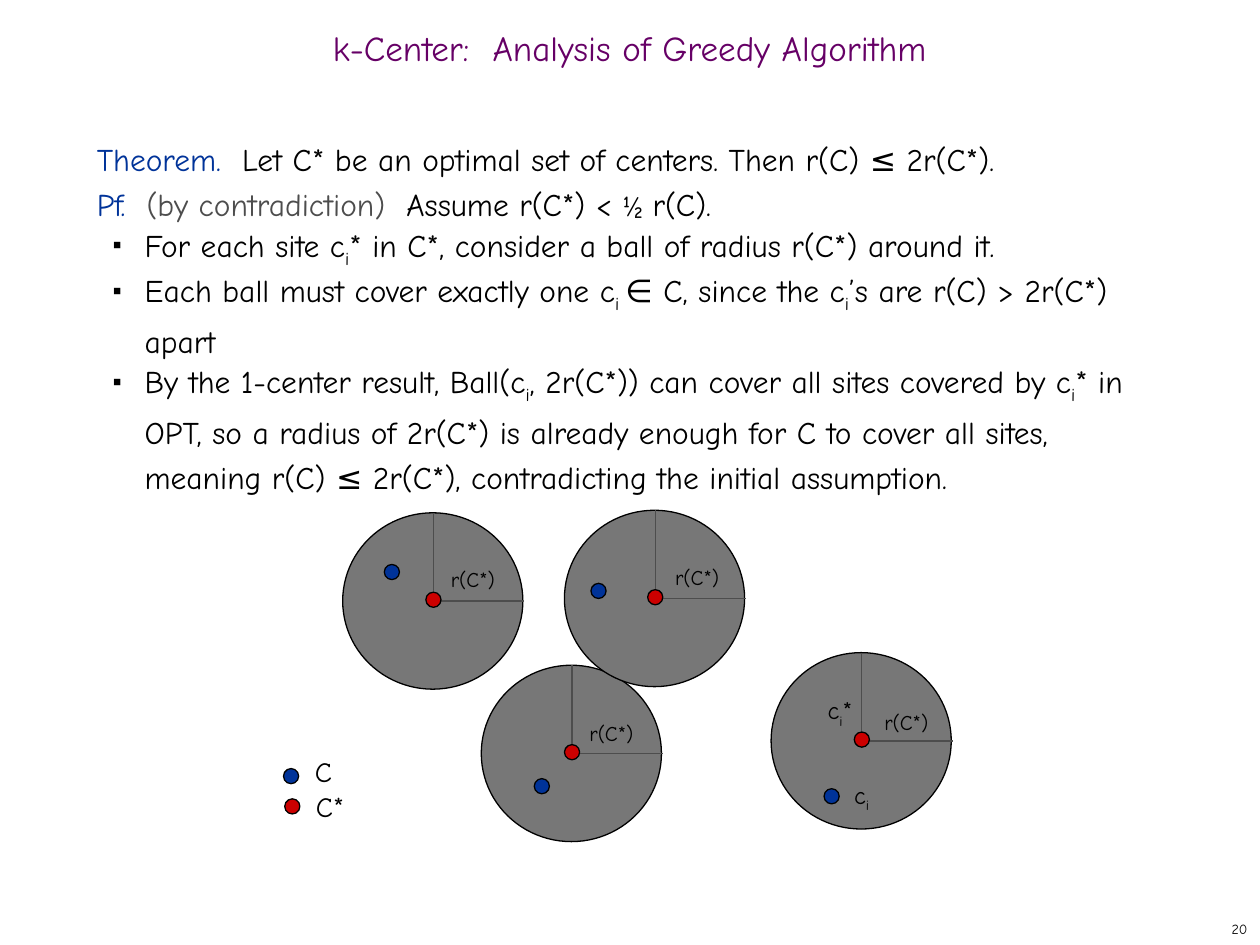
from dataclasses import dataclass

import pptx
import pptx.dml.color
import pptx.enum.shapes
import pptx.enum.text
import pptx.oxml
import pptx.oxml.ns
import pptx.util
from lxml import etree

RGBColor = pptx.dml.color.RGBColor
Inches = pptx.util.Inches
Pt = pptx.util.Pt
ALIGN = pptx.enum.text.PP_ALIGN
ANCHOR = pptx.enum.text.MSO_ANCHOR
qn = pptx.oxml.ns.qn

BLACK = RGBColor(0x00, 0x00, 0x00)
PURPLE = RGBColor(0x66, 0x00, 0x66)
BLUE = RGBColor(0x00, 0x33, 0x99)
RED = RGBColor(0xCC, 0x00, 0x00)
DARK_GRAY = RGBColor(0x4D, 0x4D, 0x4D)
BALL_GRAY = RGBColor(0x77, 0x77, 0x77)

FONT = "Comic Neue"
BALL_W, BALL_H, DOT = 1.43, 1.4, 0.12


@dataclass
class Part:
    text: str  # pieces between underscores are subscripts
    color: RGBColor = BLACK
    size: float = 18


@dataclass
class Ball:
    x: float
    y: float
    site: tuple[float, float]
    label: tuple[float, float]


@dataclass
class Label:
    text: str
    x: float
    y: float
    w: float
    h: float
    size: float


def add_parts(p, parts: list[Part]) -> None:
    for part in parts:
        for i, piece in enumerate(part.text.split("_")):
            if not piece:
                continue
            r = p.add_run()
            r.text = piece
            r.font.name = FONT
            r.font.size = Pt(part.size)
            r.font.color.rgb = part.color
            if i % 2:
                r.font._element.set("baseline", "-25000")


def add_text(s, x: float, y: float, w: float, h: float, wrap: bool = True):
    tf = s.shapes.add_textbox(Inches(x), Inches(y), Inches(w), Inches(h)).text_frame
    tf.word_wrap = wrap
    return tf


def add_label(s, label: Label) -> None:
    tf = add_text(s, label.x, label.y, label.w, label.h, wrap=False)
    tf.auto_size = pptx.enum.text.MSO_AUTO_SIZE.SHAPE_TO_FIT_TEXT
    add_parts(tf.paragraphs[0], [Part(label.text, size=label.size)])


def add_bullet(p) -> None:
    p.level = 1
    pPr = p._p.get_or_add_pPr()
    pPr.set("marL", str(Inches(0.38)))
    pPr.set("indent", str(Inches(-0.25)))
    color = etree.SubElement(pPr, qn("a:buClr"))
    etree.SubElement(color, qn("a:srgbClr")).set("val", str(BLACK))
    etree.SubElement(pPr, qn("a:buSzPct")).set("val", "35000")
    etree.SubElement(pPr, qn("a:buChar")).set("char", "■")


def add_oval(s, x: float, y: float, w: float, h: float, color: RGBColor) -> None:
    sp = s.shapes.add_shape(pptx.enum.shapes.MSO_SHAPE.OVAL,
                            Inches(x), Inches(y), Inches(w), Inches(h))
    sp.shadow.inherit = False
    sp.fill.solid()
    sp.fill.fore_color.rgb = color
    sp.line.color.rgb = BLACK
    sp.line.width = Pt(0.75)


def add_dot(s, x: float, y: float, color: RGBColor) -> None:
    add_oval(s, x, y, DOT, DOT, color)


def add_radius(s, x1: float, y1: float, x2: float, y2: float) -> None:
    cx = s.shapes.add_connector(pptx.enum.shapes.MSO_CONNECTOR.STRAIGHT,
                                Inches(x1), Inches(y1), Inches(x2), Inches(y2))
    cx.line.color.rgb = DARK_GRAY
    cx.line.width = Pt(0.75)
    etree.SubElement(cx._element.spPr, qn("a:effectLst"))


def add_ball(s, ball: Ball) -> None:
    x, y = ball.x, ball.y
    add_oval(s, x, y, BALL_W, BALL_H, BALL_GRAY)
    add_radius(s, x + 0.77, y + 0.7, x + 1.44, y + 0.7)
    add_radius(s, x + 0.72, y + 0.65, x + 0.72, y)
    add_dot(s, *ball.site, BLUE)
    add_dot(s, x + 0.66, y + 0.63, RED)
    add_label(s, Label("r(C*)", *ball.label, 0.6, 0.3, 12))


PROOF = [
    [Part("Theorem.  ", BLUE),
     Part("Let C* be an optimal set of centers. Then r(C) ≤ 2r(C*).")],
    [Part("Pf.  ", BLUE), Part("(by contradiction)", DARK_GRAY),
     Part("  Assume r(C*) < "), Part("½ ", size=16), Part("r(C).")],
]
STEPS = [
    "For each site c_i_* in C*, consider a ball of radius r(C*) around it.",
    "Each ball must cover exactly one c_i _∈ C, since the c_i_’s are r(C) > 2r(C*) apart",
    "By the 1-center result, Ball(c_i_, 2r(C*)) can cover all sites covered by c_i_* in OPT, "
    "so a radius of 2r(C*) is already enough for C to cover all sites, "
    "meaning r(C) ≤ 2r(C*), contradicting the initial assumption.",
]
BALLS = [
    Ball(2.72, 4.07, (3.05, 4.48), (3.48, 4.45)),
    Ball(3.82, 5.28, (4.24, 6.18), (4.58, 5.67)),
    Ball(4.48, 4.05, (4.69, 4.63), (5.26, 4.43)),
    Ball(6.12, 5.18, (6.54, 6.26), (6.92, 5.58)),
]
LABELS = [
    Label("C", 2.4, 5.94, 0.34, 0.37, 16),
    Label("C*", 2.41, 6.22, 0.46, 0.37, 16),
    Label("c_i_*", 6.47, 5.47, 0.45, 0.34, 14),
    Label("c_i_", 6.68, 6.14, 0.34, 0.34, 14),
]


def main() -> None:
    prs = pptx.Presentation()
    prs.slide_width, prs.slide_height = Inches(10), Inches(7.5)
    s = prs.slides.add_slide(prs.slide_layouts[6])

    # Title
    tf = add_text(s, 0, 0.17, 10, 0.5)
    tf.vertical_anchor = ANCHOR.MIDDLE
    p = tf.paragraphs[0]
    p.alignment = ALIGN.CENTER
    p.line_spacing = 0.7
    add_parts(p, [Part("k-Center:  Analysis of Greedy Algorithm", PURPLE, 20)])

    # Theorem and proof
    tf = add_text(s, 0.67, 1, 8.57, 2.93)
    lines = PROOF + [[Part(step)] for step in STEPS]
    for i, parts in enumerate(lines):
        p = tf.add_paragraph() if i else tf.paragraphs[0]
        p.line_spacing = Pt(26)
        if i >= len(PROOF):
            add_bullet(p)
        add_parts(p, parts)

    # Balls around the optimal centers
    for ball in BALLS:
        add_ball(s, ball)

    # Legend and center names
    add_dot(s, 2.25, 6.1, BLUE)
    add_dot(s, 2.26, 6.34, RED)
    for label in LABELS:
        add_label(s, label)

    # Slide number
    tf = add_text(s, 7.92, 7.25, 2.08, 0.25, wrap=False)
    tf.vertical_anchor = ANCHOR.MIDDLE
    tf.paragraphs[0].alignment = ALIGN.RIGHT
    add_parts(tf.paragraphs[0], [Part("20", size=8)])

    prs.save("out.pptx")


if __name__ == "__main__":
    main()
